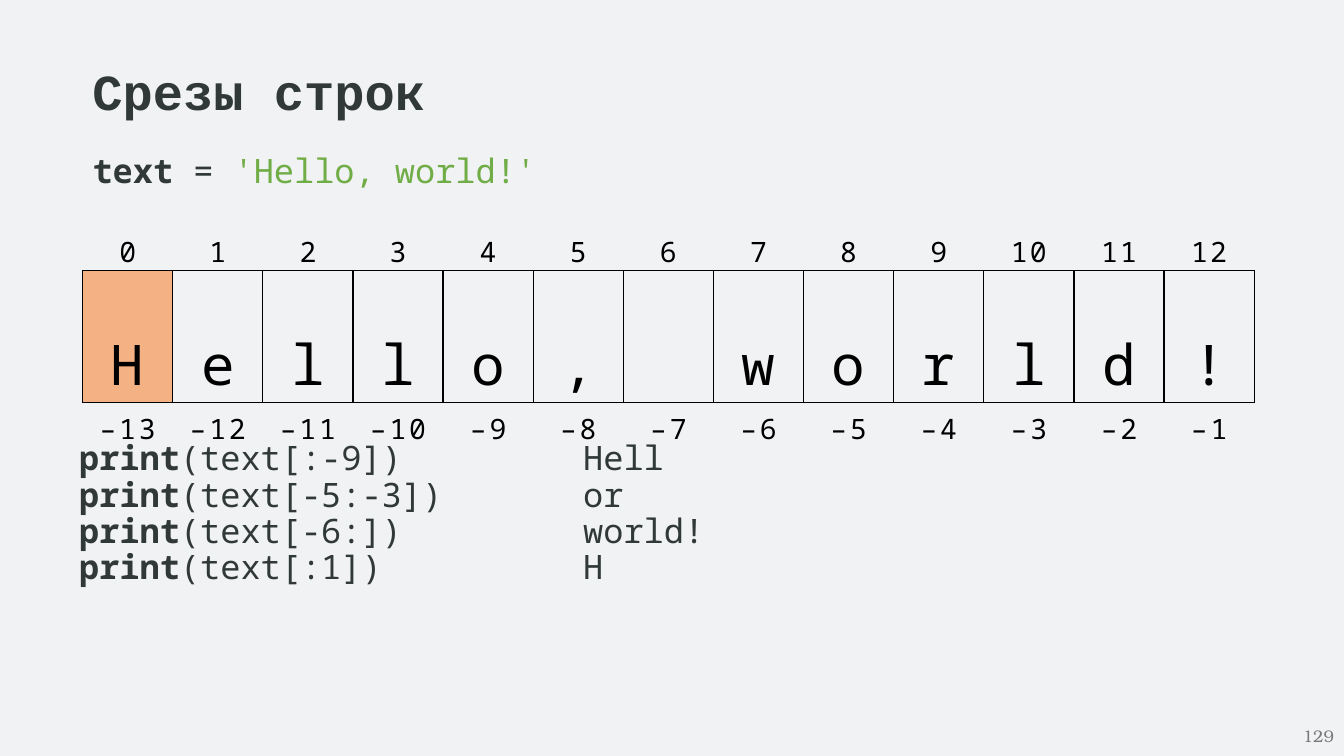
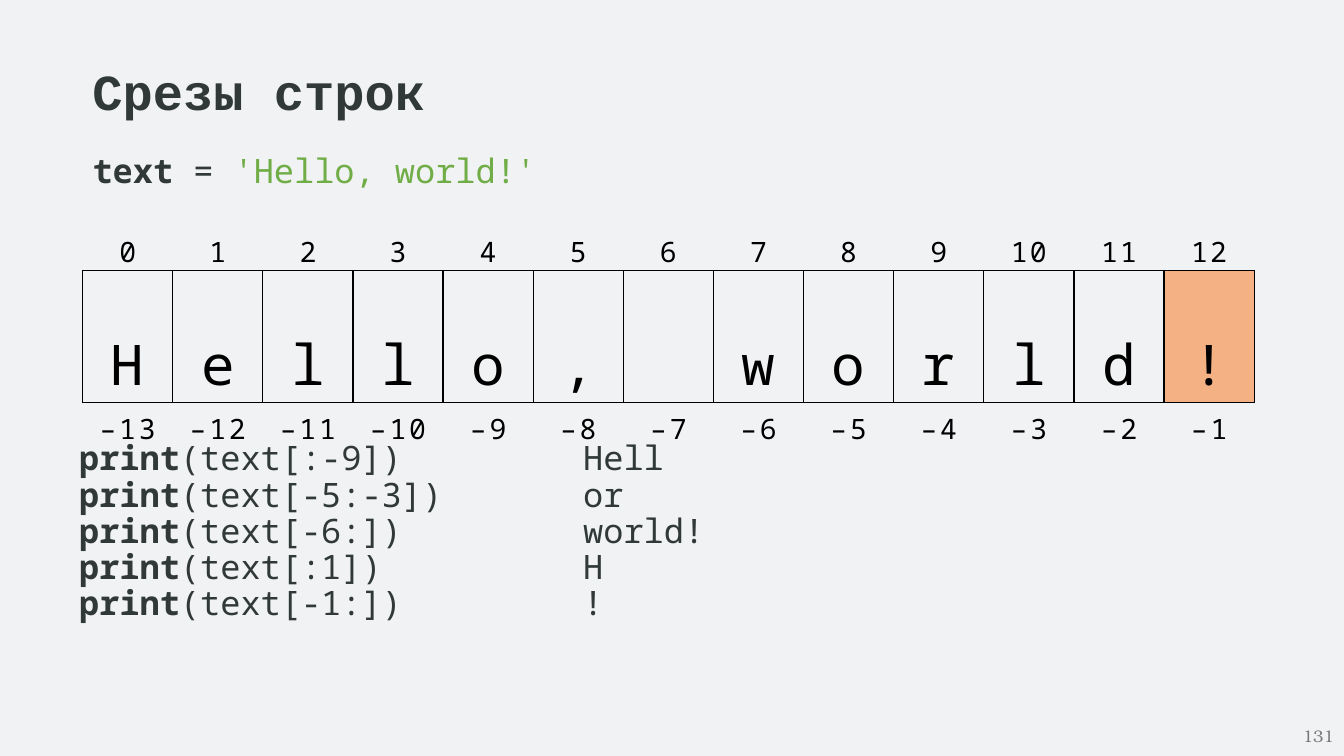
from lxml.etree import SubElement
from pptx import Presentation
from pptx.dml.color import RGBColor
from pptx.enum.text import MSO_ANCHOR, PP_ALIGN
from pptx.oxml.ns import qn
from pptx.util import Pt

BACKGROUND = RGBColor(0xF1, 0xF2, 0xF3)
INK = RGBColor(0x30, 0x39, 0x38)
BLACK = RGBColor(0, 0, 0)
GREEN = RGBColor(0x70, 0xAD, 0x47)
ORANGE = RGBColor(0xF4, 0xB1, 0x83)
GRAY = RGBColor(0x79, 0x79, 0x79)

TITLE_FONT = "Courier New"
CODE_FONT = "Noto Sans Mono"
NUMBER_FONT = "TeX Gyre Bonum"

NO_STYLE = "{2D5ABB26-0587-4C30-8999-92F81FD0307C}"
LEFT = 59
CODE_WIDTH = 860
CODE_PITCH = 29.5
TAB_STOPS = (288, 360)
COLUMN_WIDTH = 64.4
INDEX_HEIGHT, LETTER_HEIGHT, NEGATIVE_HEIGHT = 34.1, 94, 33

STRING = "Hello, world!"
EXAMPLES = [
    ("[:-9]", "Hell"),
    ("[-5:-3]", "or"),
    ("[-6:]", "world!"),
    ("[:1]", "H"),
    ("[-1:]", "!"),
]


def set_font(paragraph, face, size, color):
    font = paragraph.font
    font.name, font.size, font.color.rgb = face, Pt(size), color


def add_frame(slide, left, top, width, height, inset_top=3.6, wrap=True):
    frame = slide.shapes.add_textbox(Pt(left), Pt(top), Pt(width), Pt(height)).text_frame
    frame.word_wrap = wrap
    frame.margin_top, frame.margin_bottom = Pt(inset_top), 0
    return frame


def add_run(paragraph, text, bold=False):
    run = paragraph.add_run()
    run.text = text
    run.font.bold = bold
    return run


def add_title(slide, text):
    frame = add_frame(slide, LEFT, 33, 255, 51, inset_top=10, wrap=False)
    title = frame.paragraphs[0]
    set_font(title, TITLE_FONT, 36, INK)
    add_run(title, text, bold=True)


def add_assignment(slide):
    frame = add_frame(slide, LEFT, 106, CODE_WIDTH, 36, inset_top=4.5)
    line = frame.paragraphs[0]
    line.line_spacing = 0.9
    set_font(line, CODE_FONT, 24, INK)
    add_run(line, "text ", bold=True)
    add_run(line, "= ")
    add_run(line, f"'{STRING}'").font.color.rgb = GREEN


def add_examples(slide, examples):
    """Print calls on the left, their output at the last tab stop."""
    frame = add_frame(slide, 49.5, 311, CODE_WIDTH,
                      CODE_PITCH * len(examples) + 39, inset_top=4.5)
    for number, (slice_code, output) in enumerate(examples):
        line = frame.add_paragraph() if number else frame.paragraphs[0]
        line.line_spacing = 0.9
        tabs = SubElement(line._p.get_or_add_pPr(), qn("a:tabLst"))
        for stop in TAB_STOPS:
            SubElement(tabs, qn("a:tab"), pos=str(Pt(stop)), algn="l")
        set_font(line, CODE_FONT, 24, INK)
        add_run(line, "print", bold=True)
        add_run(line, f"(text{slice_code})\t\t{output}")


def add_borders(cell, sides):
    properties = cell._tc.get_or_add_tcPr()
    for side in sides:
        border = SubElement(properties, qn(f"a:ln{side}"), w=str(Pt(1)))
        fill = SubElement(border, qn("a:solidFill"))
        SubElement(fill, qn("a:srgbClr"), val=str(BLACK))


def fill_cell(cell, text, size, sides, line_height=None, inset_top=0, spacing=0):
    cell.margin_left = cell.margin_right = cell.margin_bottom = 0
    cell.margin_top = Pt(inset_top)
    add_borders(cell, sides)
    cell.fill.background()
    paragraph = cell.text_frame.paragraphs[0]
    paragraph.alignment = PP_ALIGN.CENTER
    if line_height:
        paragraph.line_spacing = Pt(line_height)
    set_font(paragraph, CODE_FONT, size, BLACK)
    if text.strip():
        run = add_run(paragraph, text)
        if spacing:
            run._r.get_or_add_rPr().set("spc", str(spacing))


def add_index_table(slide, highlighted):
    """Letters with their indices above and negative indices below."""
    count = len(STRING)
    heights = (INDEX_HEIGHT, LETTER_HEIGHT, NEGATIVE_HEIGHT)
    table = slide.shapes.add_table(3, count, Pt(LEFT), Pt(159.3),
                                   Pt(COLUMN_WIDTH * count), Pt(sum(heights))).table
    table.first_row = table.horz_banding = False
    table._tbl.tblPr.find(qn("a:tableStyleId")).text = NO_STYLE
    for row, height in zip(table.rows, heights):
        row.height = Pt(height)
    for index, letter in enumerate(STRING):
        table.columns[index].width = Pt(COLUMN_WIDTH)
        fill_cell(table.cell(0, index), str(index), 20, "B",
                  line_height=INDEX_HEIGHT, spacing=160 if index > 9 else 0)
        fill_cell(table.cell(1, index), letter, 40, "LRTB", line_height=LETTER_HEIGHT)
        fill_cell(table.cell(2, index), f"–{count - index}", 20, "T",
                  inset_top=5.2, spacing=200)
    marked = table.cell(1, highlighted).fill
    marked.solid()
    marked.fore_color.rgb = ORANGE


def add_page_number(slide, number):
    frame = add_frame(slide, 744, 511, 216, 29)
    frame.margin_bottom = Pt(3.6)
    frame.vertical_anchor = MSO_ANCHOR.MIDDLE
    paragraph = frame.paragraphs[0]
    paragraph.alignment = PP_ALIGN.RIGHT
    set_font(paragraph, NUMBER_FONT, 12, GRAY)
    add_run(paragraph, str(number))


def add_slices_slide(prs, examples, highlighted, number):
    slide = prs.slides.add_slide(prs.slide_layouts[6])
    add_title(slide, "Срезы строк")
    add_assignment(slide)
    add_examples(slide, examples)
    add_index_table(slide, highlighted)
    add_page_number(slide, number)


def main():
    prs = Presentation()
    prs.slide_width, prs.slide_height = Pt(960), Pt(540)
    background = prs.slide_master.background.fill
    background.solid()
    background.fore_color.rgb = BACKGROUND
    add_slices_slide(prs, EXAMPLES[:4], highlighted=0, number=129)
    add_slices_slide(prs, EXAMPLES, highlighted=len(STRING) - 1, number=131)
    prs.save("out.pptx")


if __name__ == "__main__":
    main()
